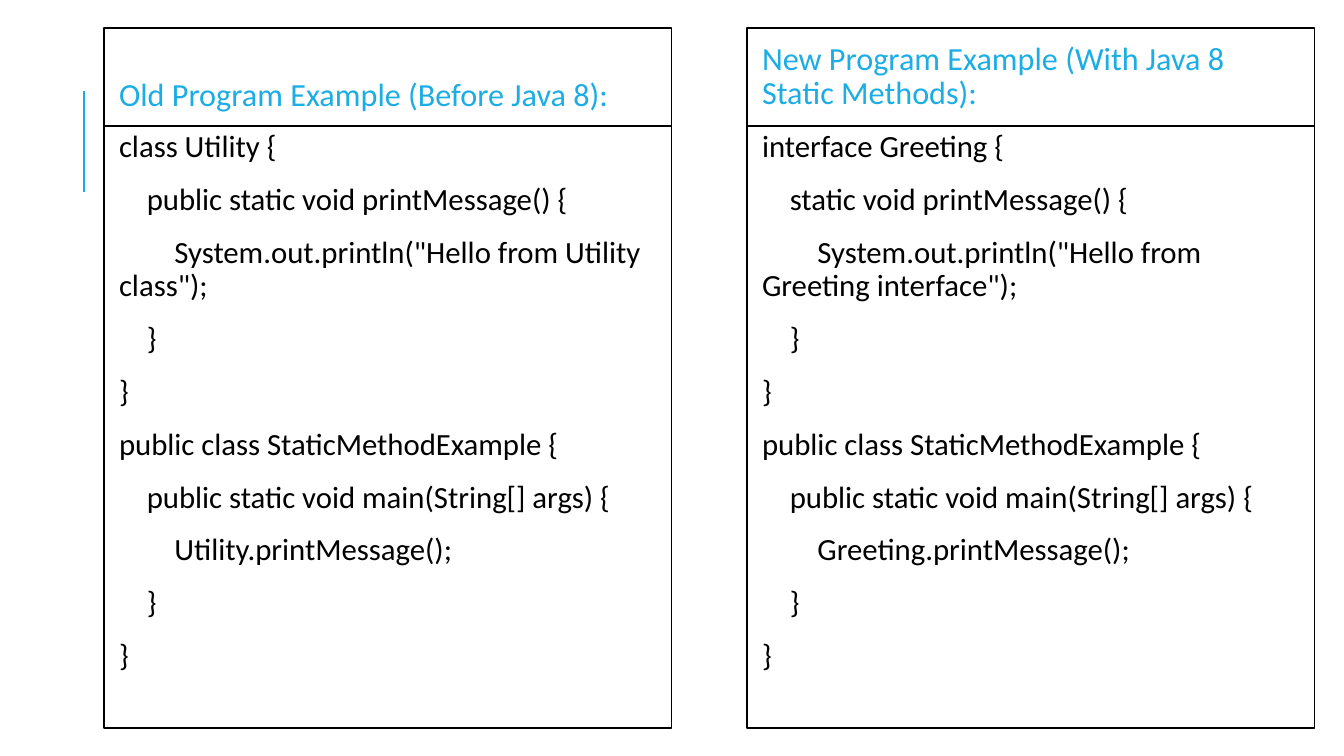
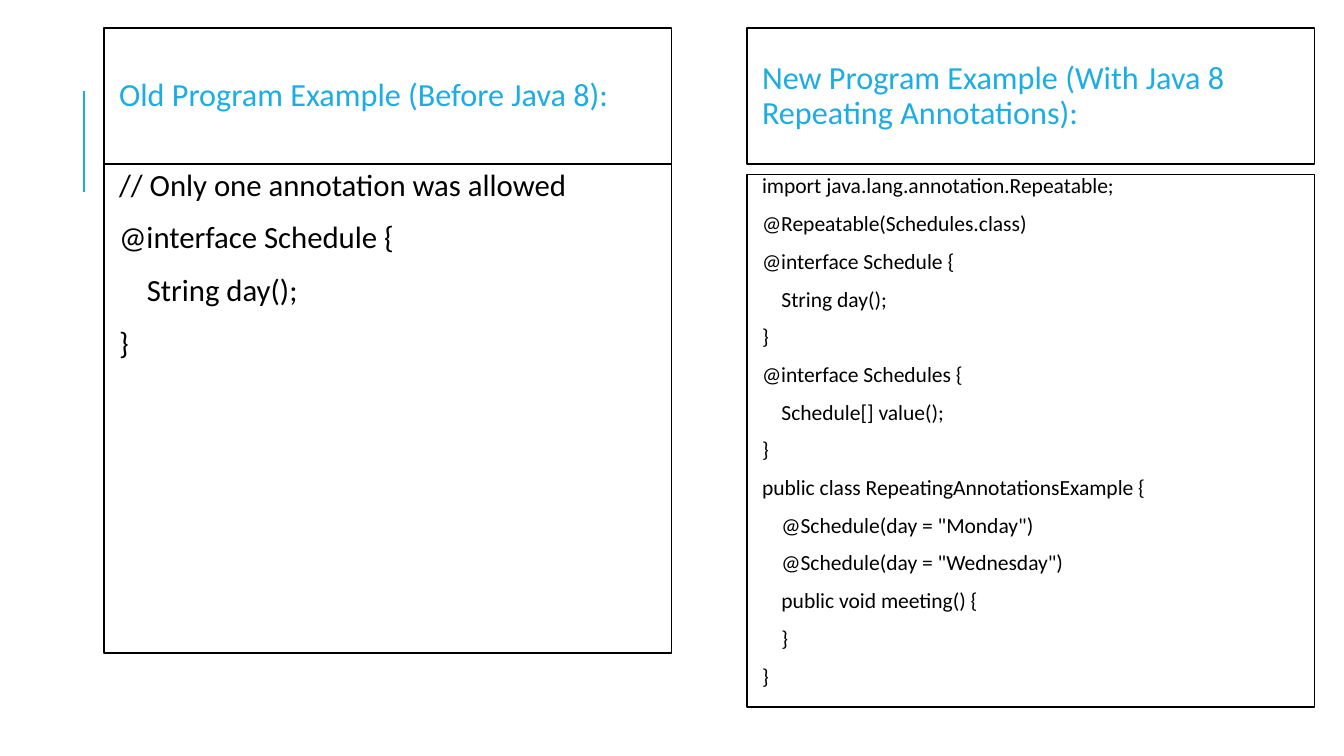
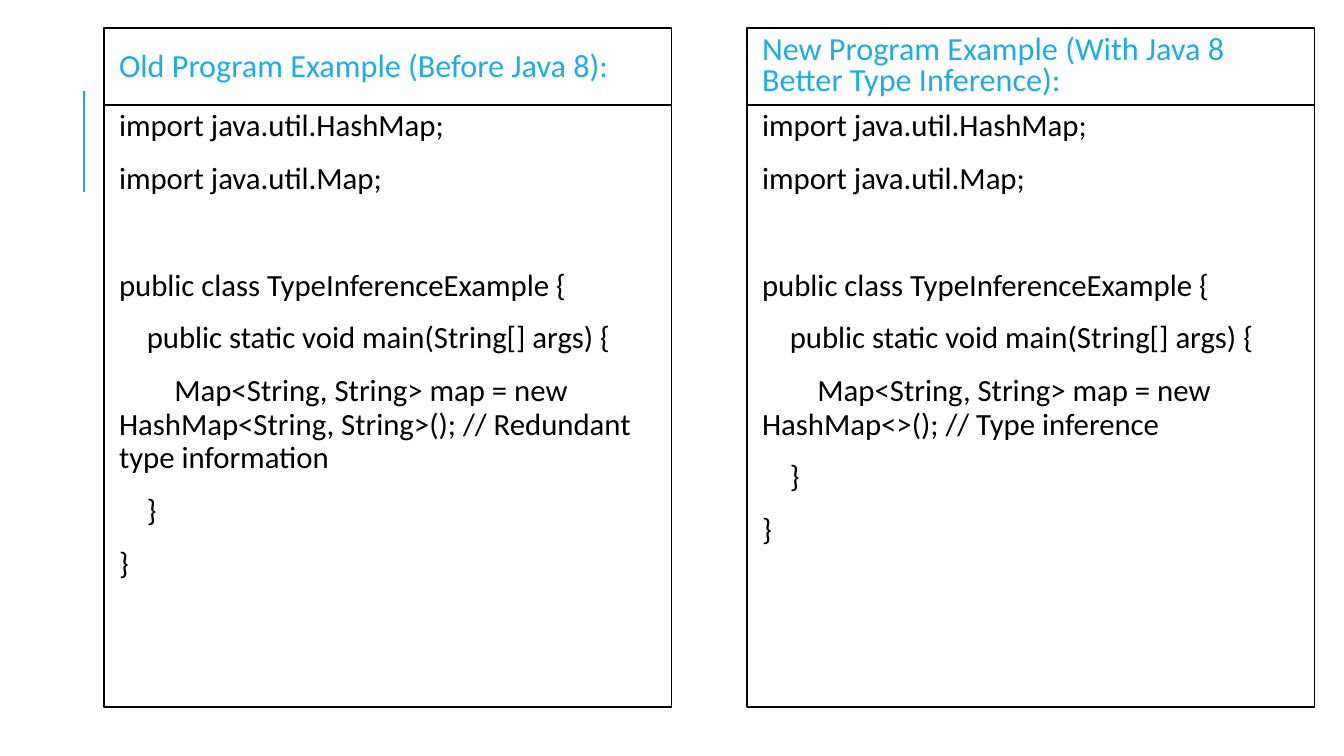
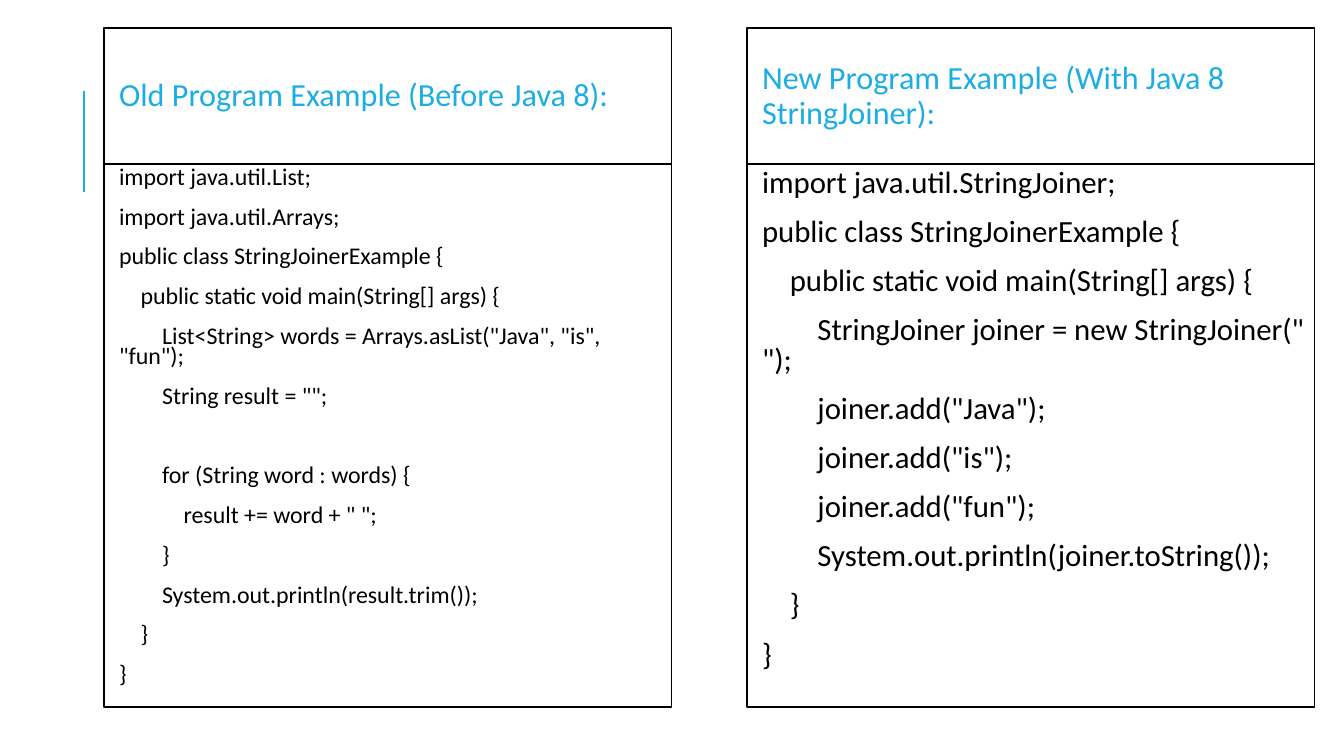
from pptx import Presentation
from pptx.dml.color import RGBColor
from pptx.enum.shapes import MSO_CONNECTOR
from pptx.enum.text import MSO_ANCHOR, MSO_AUTO_SIZE
from pptx.oxml.ns import qn
from pptx.util import Pt
from lxml.etree import SubElement

COLORS = {"accent": "1CADE4", "text": "000000", "panel": "FFFFFF"}
FONT = "Calibri"
PANEL_X = {"old": 74.2, "new": 533.5}
PANEL_W = 405.4
PANEL_TOP = 20.2
BOTTOM = 505
SPACE_BEFORE, SPACE_AFTER = 12, 2
HEAD_INSETS = (10.8, 3.6, 10.8, 3.6)
BODY_INSETS = (3.6, 3.6, 3.6, 3.6)
CODE_MARGIN = 7.2
STEP_EM = 0.9
LINE_EM = 1.22

OLD_HEAD = "Old Program Example (Before Java 8):"
MAIN = (1, "public static void main(String[] args) {")
CLOSE_INNER = (1, "}")
CLOSE = (0, "}")
GAP = None

STATIC_CALLER = (0, "public class StaticMethodExample {")
MAP_START = [
    (0, "import java.util.HashMap;"),
    (0, "import java.util.Map;"),
    GAP,
    (0, "public class TypeInferenceExample {"),
    MAIN,
]
JOINER_CLASS = (0, "public class StringJoinerExample {")
SCHEDULE = [(0, "@interface Schedule {"), (1, "String day();"), CLOSE]

SLIDES = [
    {
        "old": {
            "head": OLD_HEAD, "head_h": 97.2, "body_top": 90, "bottom": 520,
            "code": [
                (0, "class Utility {"),
                (1, "public static void printMessage() {"),
                (2, 'System.out.println("Hello from Utility class");'),
                CLOSE_INNER, CLOSE,
                STATIC_CALLER, MAIN,
                (2, "Utility.printMessage();"),
                CLOSE_INNER, CLOSE,
            ],
        },
        "new": {
            "head": "New Program Example (With Java 8 Static Methods):",
            "head_h": 69.8, "bottom": 520,
            "code": [
                (0, "interface Greeting {"),
                (1, "static void printMessage() {"),
                (2, 'System.out.println("Hello from Greeting interface");'),
                CLOSE_INNER, CLOSE,
                STATIC_CALLER, MAIN,
                (2, "Greeting.printMessage();"),
                CLOSE_INNER, CLOSE,
            ],
        },
    },
    {
        "old": {
            "head": OLD_HEAD, "head_h": 97.2, "bottom": 466.6,
            "code": [(0, "// Only one annotation was allowed")] + SCHEDULE,
        },
        "new": {
            "head": "New Program Example (With Java 8 Repeating Annotations):",
            "head_h": 97.2, "body_top": 124.6, "size": 15.4, "spacing": 0.7,
            "code": [
                (0, "import java.lang.annotation.Repeatable;"),
                (0, "@Repeatable(Schedules.class)"),
            ] + SCHEDULE + [
                (0, "@interface Schedules {"),
                (1, "Schedule[] value();"),
                CLOSE,
                (0, "public class RepeatingAnnotationsExample {"),
                (1, '@Schedule(day = "Monday")'),
                (1, '@Schedule(day = "Wednesday")'),
                (1, "public void meeting() {"),
                CLOSE_INNER, CLOSE,
            ],
        },
    },
    {
        "old": {
            "head": OLD_HEAD, "head_h": 55,
            "code": MAP_START + [
                (2, "Map<String, String> map = new HashMap<String, String>(); "
                    "// Redundant type information"),
                CLOSE_INNER, CLOSE,
            ],
        },
        "new": {
            "head": "New Program Example (With Java 8 Better Type Inference):",
            "head_h": 55, "head_spacing": 0.8,
            "code": MAP_START + [
                (2, "Map<String, String> map = new HashMap<>(); // Type inference"),
                CLOSE_INNER, CLOSE,
            ],
        },
    },
    {
        "old": {
            "head": OLD_HEAD, "head_h": 97.2, "size": 17.1, "spacing": 0.7,
            "code": [
                (0, "import java.util.List;"),
                (0, "import java.util.Arrays;"),
                JOINER_CLASS, MAIN,
                (2, 'List<String> words = Arrays.asList("Java", "is", "fun");'),
                (2, 'String result = "";'),
                GAP,
                (2, "for (String word : words) {"),
                (3, 'result += word + " ";'),
                (2, "}"),
                (2, "System.out.println(result.trim());"),
                CLOSE_INNER, CLOSE,
            ],
        },
        "new": {
            "head": "New Program Example (With Java 8 StringJoiner):",
            "head_h": 97.2, "spacing": 0.8,
            "code": [
                (0, "import java.util.StringJoiner;"),
                JOINER_CLASS, MAIN,
                (2, 'StringJoiner joiner = new StringJoiner(" ");'),
                (2, 'joiner.add("Java");'),
                (2, 'joiner.add("is");'),
                (2, 'joiner.add("fun");'),
                (2, "System.out.println(joiner.toString());"),
                CLOSE_INNER, CLOSE,
            ],
        },
    },
]


def color(name):
    return RGBColor.from_string(COLORS[name])


def format_box(sp, x, top, bottom, insets, anchor):
    sp.left, sp.top, sp.width, sp.height = (
        Pt(v) for v in (x, top, PANEL_W, bottom - top))
    sp.fill.solid()
    sp.fill.fore_color.rgb = color("panel")
    sp.line.color.rgb = color("text")
    sp.line.width = Pt(1.25)
    tf = sp.text_frame
    tf.word_wrap = True
    tf.auto_size = MSO_AUTO_SIZE.NONE
    tf.vertical_anchor = anchor
    tf.margin_left, tf.margin_top, tf.margin_right, tf.margin_bottom = map(Pt, insets)
    return tf


def write_line(p, text, size, ink, spacing, before, after, margin=0, indent=0):
    p.line_spacing = spacing
    p.space_before, p.space_after = Pt(before), Pt(after)
    pPr = p._p.get_or_add_pPr()
    pPr.set("marL", str(Pt(margin)))
    pPr.set("indent", str(Pt(indent)))
    SubElement(pPr, qn("a:buNone"))
    r = p.add_run()
    r.text = text
    r.font.name, r.font.size, r.font.bold = FONT, Pt(size), False
    r.font.color.rgb = color(ink)


def fill_panel(head_sp, body_sp, x, panel):
    head_bottom = PANEL_TOP + panel["head_h"]
    tf = format_box(head_sp, x, PANEL_TOP, head_bottom, HEAD_INSETS, MSO_ANCHOR.MIDDLE)
    write_line(tf.paragraphs[0], panel["head"], 23, "accent",
               panel.get("head_spacing", 0.9), 0, 0)

    tf = format_box(body_sp, x, panel.get("body_top", head_bottom),
                    panel.get("bottom", BOTTOM), BODY_INSETS, MSO_ANCHOR.TOP)
    size, spacing = panel.get("size", 22), panel.get("spacing", 0.9)
    pitch = size * LINE_EM * spacing + SPACE_BEFORE + SPACE_AFTER
    before = SPACE_BEFORE
    p = tf.paragraphs[0]
    for line in panel["code"]:
        if line is GAP:
            before += pitch
            continue
        level, text = line
        if p is None:
            p = tf.add_paragraph()
        write_line(p, text, size, "text", spacing, before, SPACE_AFTER,
                   CODE_MARGIN, level * size * STEP_EM)
        p, before = None, SPACE_BEFORE


def add_accent(slide, layout):
    line = slide.shapes.add_connector(
        MSO_CONNECTOR.STRAIGHT, Pt(60), Pt(136.8), Pt(60), Pt(64.8))
    line.line.color.rgb = color("accent")
    line.line.width = Pt(1.5)
    SubElement(line.element.spPr, qn("a:effectLst"))
    line.element.nvCxnSpPr.cNvPr.set("id", "20")
    layout.shapes.element.append(line.element)


def main():
    prs = Presentation()
    prs.slide_width, prs.slide_height = Pt(960), Pt(540)
    layout = prs.slide_layouts.get_by_name("Comparison")
    for content in SLIDES:
        slide = prs.slides.add_slide(layout)
        title = slide.shapes.title.element
        title.getparent().remove(title)
        holders = {sp.placeholder_format.idx: sp for sp in slide.placeholders}
        for side, idx in (("old", 1), ("new", 3)):
            fill_panel(holders[idx], holders[idx + 1], PANEL_X[side], content[side])
    add_accent(prs.slides[0], layout)
    prs.save("out.pptx")


if __name__ == "__main__":
    main()
